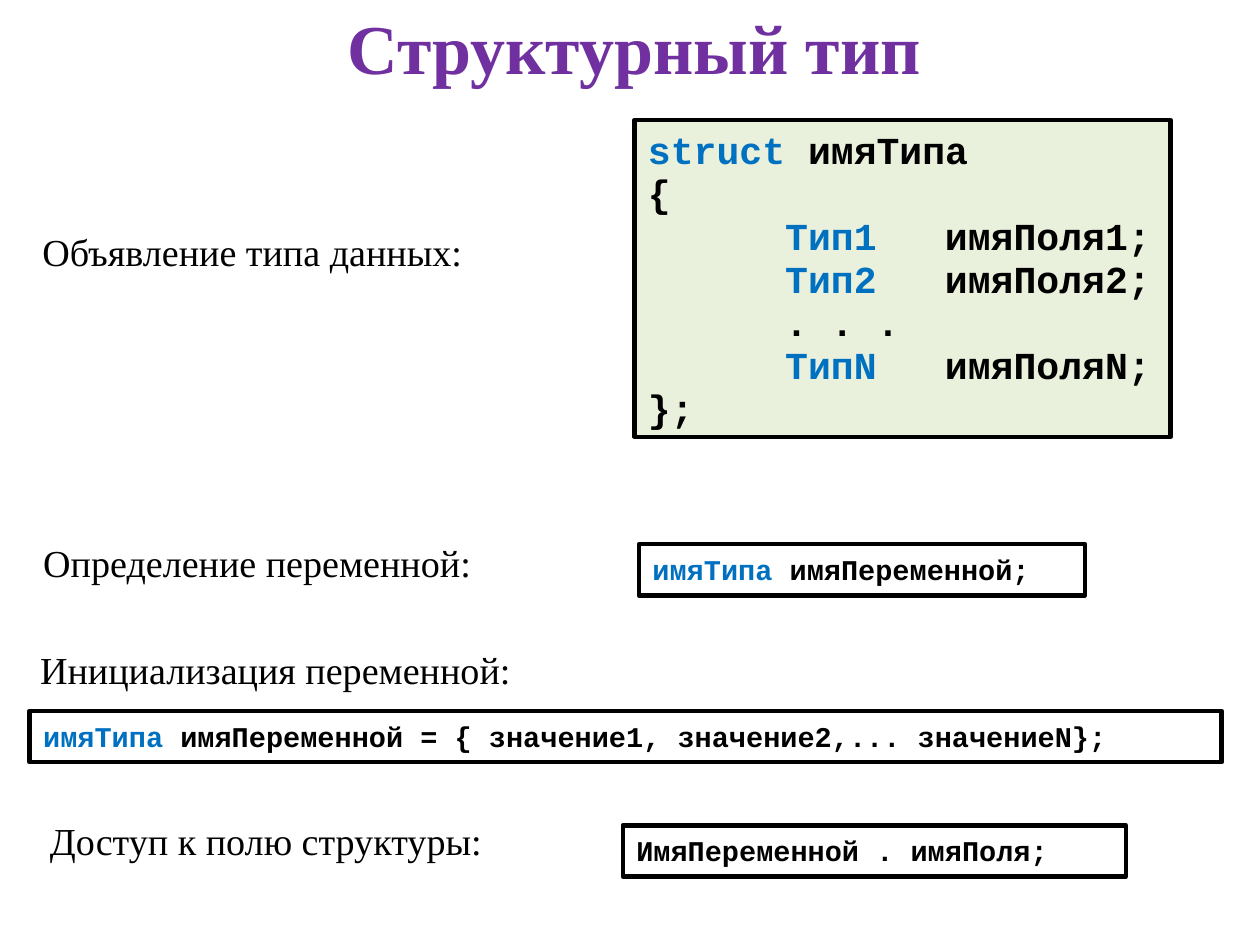
from dataclasses import dataclass

from lxml import etree
from pptx import Presentation
from pptx.dml.color import RGBColor
from pptx.enum.shapes import MSO_SHAPE
from pptx.enum.text import MSO_ANCHOR, PP_ALIGN
from pptx.oxml.ns import qn
from pptx.util import Cm, Pt

RECT = MSO_SHAPE.RECTANGLE
TOP, MIDDLE = MSO_ANCHOR.TOP, MSO_ANCHOR.MIDDLE
LEFT, CENTER = PP_ALIGN.LEFT, PP_ALIGN.CENTER

COLORS = {"title": "7030A0", "text": "000000", "type": "0070C0", "struct": "D7E4BD"}
SERIF, MONO = "Times New Roman", "Courier New"
LABEL_HEIGHT, CODE_HEIGHT = 1.19, 1.14
FIELD_TABS = (3.05, 6.6)

Line = list[tuple[str, str]]


@dataclass
class Label:
    """A caption in the left column, in centimetres."""
    text: str
    left: float
    top: float
    width: float


@dataclass
class CodeBox:
    """A framed piece of code; each line is a list of (text, colour key)."""
    lines: list[Line]
    left: float
    top: float
    width: float
    height: float = CODE_HEIGHT
    size: float = 18
    fill: str = ""


def field(n: str) -> Line:
    """Return the code line that declares field n."""
    return [(f"\tТип{n}", "type"), (f"\tимяПоля{n};", "text")]


LABELS = [
    Label("Объявление типа данных:", 0.69, 4.98, 10.85),
    Label("Определение переменной:", 0.71, 11.89, 11.13),
    Label("Инициализация переменной:", 0.64, 14.27, 11.99),
    Label("Доступ к полю структуры:", 0.86, 18.08, 10.59),
]

STRUCT_LINES = [
    [("struct ", "type"), ("имяТипа", "text")],
    [("{", "text")],
    field("1"),
    field("2"),
    [("\t. . .", "text")],
    field("N"),
    [("};", "text")],
]

CODE_BOXES = [
    CodeBox(STRUCT_LINES, 14.1, 2.67, 11.91, 7.04, 24, "struct"),
    CodeBox([[("имяТипа ", "type"), ("имяПеременной;", "text")]], 14.2, 12.09, 9.91),
    CodeBox([[("имяТипа ", "type"),
              ("имяПеременной = { значение1, значение2,... значениеN};", "text")]],
            0.66, 15.8, 26.49),
    CodeBox([[("ИмяПеременной . имяПоля;", "text")]], 13.84, 18.34, 11.18),
]


def rgb(key: str) -> RGBColor:
    """Return the named colour."""
    return RGBColor.from_string(COLORS[key])


def set_frame(tf, side: float, top: float, bottom: float, anchor=TOP) -> None:
    """Set the insets, wrapping and anchor of a text frame."""
    tf.word_wrap = True
    tf.vertical_anchor = anchor
    tf.margin_left = tf.margin_right = Cm(side)
    tf.margin_top, tf.margin_bottom = Cm(top), Cm(bottom)


def set_font(r, font: str, size: float, color: str, bold: bool = False) -> None:
    """Format one run."""
    r.font.name, r.font.size, r.font.bold = font, Pt(size), bold
    r.font.color.rgb = rgb(color)


def set_tabs(p) -> None:
    """Give a paragraph the tab stops of the field columns."""
    tabs = etree.SubElement(p._p.get_or_add_pPr(), qn("a:tabLst"))
    for pos in FIELD_TABS:
        etree.SubElement(tabs, qn("a:tab"), pos=str(int(Cm(pos))), algn="l")


def add_title(slide, text: str) -> None:
    """Add the centred slide title."""
    tf = slide.shapes.add_textbox(Cm(1.5), Cm(0.1), Cm(25.2), Cm(1.9)).text_frame
    set_frame(tf, 0.28, 0.1, 0.15, MIDDLE)
    tf.text = text
    p = tf.paragraphs[0]
    p.alignment = CENTER
    set_font(p.runs[0], SERIF, 44.1, "title", True)


def add_label(slide, label: Label) -> None:
    """Add one caption."""
    tf = slide.shapes.add_textbox(Cm(label.left), Cm(label.top),
                                  Cm(label.width), Cm(LABEL_HEIGHT)).text_frame
    set_frame(tf, 0.25, 0.18, 0.13)
    tf.text = label.text
    p = tf.paragraphs[0]
    p.line_spacing = 0.93
    set_font(p.runs[0], SERIF, 24, "text")


def add_code(slide, box: CodeBox) -> None:
    """Add one framed code box with coloured runs."""
    sp = slide.shapes.add_shape(RECT, Cm(box.left), Cm(box.top),
                                Cm(box.width), Cm(box.height))
    sp.shadow.inherit = False
    sp.line.color.rgb = rgb("text")
    sp.line.width = Pt(2.83)
    if box.fill:
        sp.fill.solid()
        sp.fill.fore_color.rgb = rgb(box.fill)
        color = sp.element.spPr.find(f"{qn('a:solidFill')}/{qn('a:srgbClr')}")
        etree.SubElement(color, qn("a:alpha"), val="54000")
    else:
        sp.fill.background()
    tf = sp.text_frame
    set_frame(tf, 0.3, 0.23, 0.18)
    for i, line in enumerate(box.lines):
        p = tf.add_paragraph() if i else tf.paragraphs[0]
        p.alignment = LEFT
        p.line_spacing = 0.94
        if line[0][0].startswith("\t"):
            set_tabs(p)
        for text, key in line:
            r = p.add_run()
            r.text = text
            set_font(r, MONO, box.size, key, True)


def main() -> None:
    """Build and save the slide."""
    prs = Presentation()
    prs.slide_width, prs.slide_height = Cm(28), Cm(21)
    slide = prs.slides.add_slide(prs.slide_layouts[6])
    add_title(slide, "Структурный тип")
    for label in LABELS:
        add_label(slide, label)
    for box in CODE_BOXES:
        add_code(slide, box)
    prs.save("out.pptx")


main()
